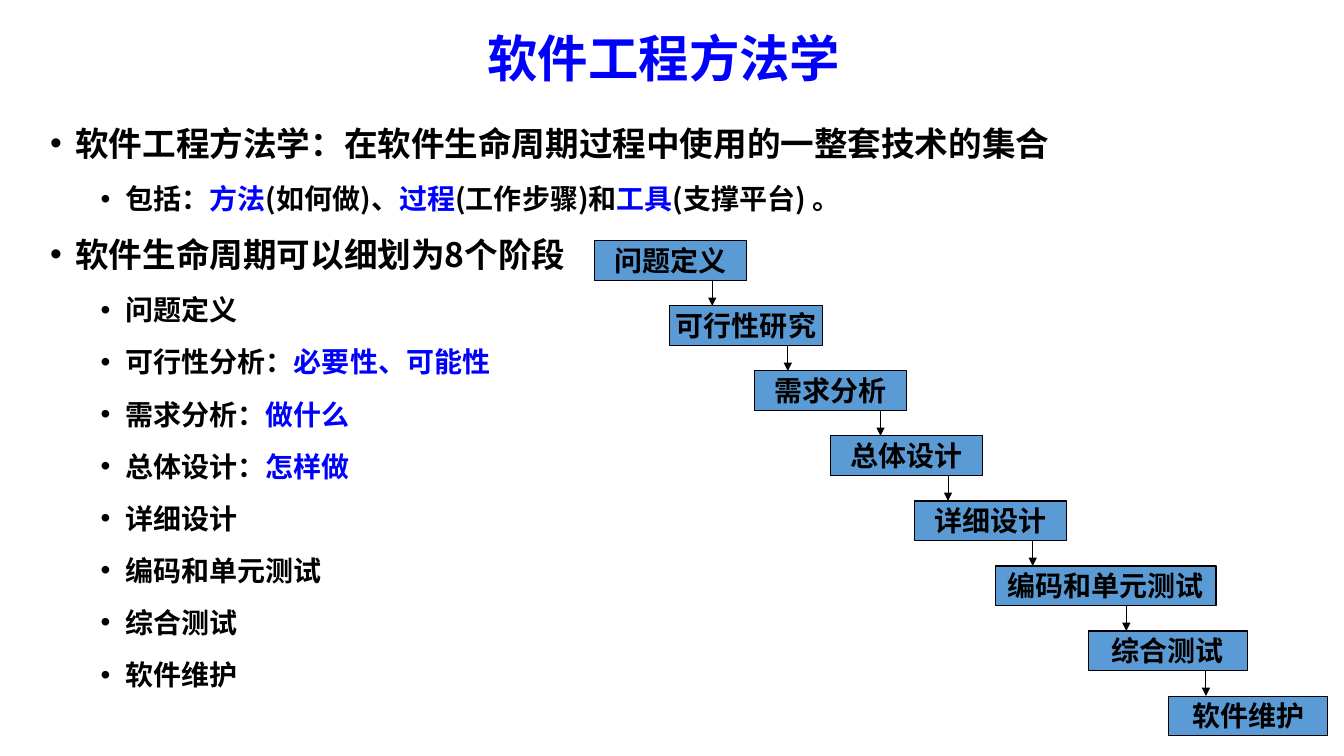
from lxml.etree import SubElement
from pptx import Presentation
from pptx.dml.color import RGBColor
from pptx.enum.shapes import MSO_CONNECTOR, MSO_SHAPE
from pptx.enum.text import MSO_ANCHOR, PP_ALIGN
from pptx.oxml.ns import qn
from pptx.util import Inches, Pt

COLORS = {"text": "000000", "accent": "0000FF", "box": "5B9BD5", "line": "000000"}
SANS = "Noto Sans CJK SC"
SERIF = "Times New Roman"

# Level and runs; every second run is in the accent colour.
POINTS = [
    (0, ["软件工程方法学：在软件生命周期过程中使用的一整套技术的集合"]),
    (1, ["包括：", "方法", "(如何做)、", "过程", "(工作步骤)和", "工具", "(支撑平台) 。"]),
    (0, ["软件生命周期可以细划为8个阶段"]),
    (1, ["问题定义"]),
    (1, ["可行性分析：", "必要性、可能性"]),
    (1, ["需求分析：", "做什么"]),
    (1, ["总体设计：", "怎样做"]),
    (1, ["详细设计"]),
    (1, ["编码和单元测试"]),
    (1, ["综合测试"]),
    (1, ["软件维护"]),
]

# Label, left, width, x of the arrow to the next stage.
STAGES = [
    ("问题定义", 5.9, 1.51, 7.07),
    ("可行性研究", 6.65, 1.51, 7.82),
    ("需求分析", 7.49, 1.51, 8.74),
    ("总体设计", 8.24, 1.51, 9.41),
    ("详细设计", 9.08, 1.51, 10.25),
    ("编码和单元测试", 9.88, 2.19, 11.18),
    ("综合测试", 10.8, 1.58, 11.97),
    ("软件维护", 11.6, 1.58, None),
]
TOP, PITCH, HEIGHT = 2.39, 0.645, 0.39


def color(name):
    return RGBColor.from_string(COLORS[name])


def add_text(para, text, size=20, font=SERIF, tint="text"):
    run = para.add_run()
    run.text = text
    run.font.size = Pt(size)
    run.font.bold = True
    run.font.name = font
    run.font.color.rgb = color(tint)
    SubElement(run.font._element, qn("a:ea"), typeface=SANS)


def add_frame(slide, left, top, width, height):
    box = slide.shapes.add_textbox(*map(Inches, (left, top, width, height)))
    box.text_frame.word_wrap = True
    return box.text_frame


def add_bullet(para, level):
    props = para._p.get_or_add_pPr()
    props.set("marL", str(Inches(0.25 + 0.5 * level)))
    props.set("indent", str(Inches(-0.25)))
    tint = SubElement(props, qn("a:buClr"))
    SubElement(tint, qn("a:srgbClr"), val=COLORS["text"])
    SubElement(props, qn("a:buFont"), typeface="Arial")
    SubElement(props, qn("a:buChar"), char="•")


def add_title(slide):
    frame = add_frame(slide, 2.34, 0.13, 8.5, 0.95)
    frame.vertical_anchor = MSO_ANCHOR.MIDDLE
    para = frame.paragraphs[0]
    para.alignment = PP_ALIGN.CENTER
    para.line_spacing = 0.9
    add_text(para, "软件工程方法学", size=36, tint="accent")


def add_points(slide):
    frame = add_frame(slide, 0.4, 1.15, 12.54, 6.06)
    for row, (level, runs) in enumerate(POINTS):
        para = frame.add_paragraph() if row else frame.paragraphs[0]
        add_bullet(para, level)
        para.level = level
        para.alignment = PP_ALIGN.JUSTIFY
        para.line_spacing = 1.05
        para.space_before = Pt(6 if row else 0)
        para.space_after = Pt(6)
        for spot, text in enumerate(runs):
            add_text(para, text, size=20 if level else 24, font=SANS,
                     tint="accent" if spot % 2 else "text")


def add_stage(slide, label, left, top, width):
    box = slide.shapes.add_shape(
        MSO_SHAPE.RECTANGLE, *map(Inches, (left, top, width, HEIGHT)))
    box.shadow.inherit = False
    box.fill.solid()
    box.fill.fore_color.rgb = color("box")
    box.line.color.rgb = color("line")
    box.line.width = Pt(0.75)
    frame = box.text_frame
    frame.word_wrap = False
    frame.vertical_anchor = MSO_ANCHOR.MIDDLE
    para = frame.paragraphs[0]
    para.alignment = PP_ALIGN.CENTER
    add_text(para, label)


def add_arrow(slide, x, start, end):
    arrow = slide.shapes.add_connector(
        MSO_CONNECTOR.STRAIGHT, *map(Inches, (x, start, x, end)))
    arrow.line.color.rgb = color("line")
    arrow.line.width = Pt(0.75)
    SubElement(arrow.line._get_or_add_ln(), qn("a:tailEnd"), type="triangle")
    SubElement(arrow._element.spPr, qn("a:effectLst"))


def add_flow(slide):
    for step, (label, left, width, x) in enumerate(STAGES):
        top = TOP + step * PITCH
        add_stage(slide, label, left, top, width)
        if x:
            add_arrow(slide, x, top + HEIGHT, top + PITCH)


def main():
    deck = Presentation()
    deck.slide_width = Inches(13.34)
    deck.slide_height = Inches(7.5)
    slide = deck.slides.add_slide(deck.slide_layouts[6])
    add_points(slide)
    add_title(slide)
    add_flow(slide)
    deck.save("out.pptx")


if __name__ == "__main__":
    main()
